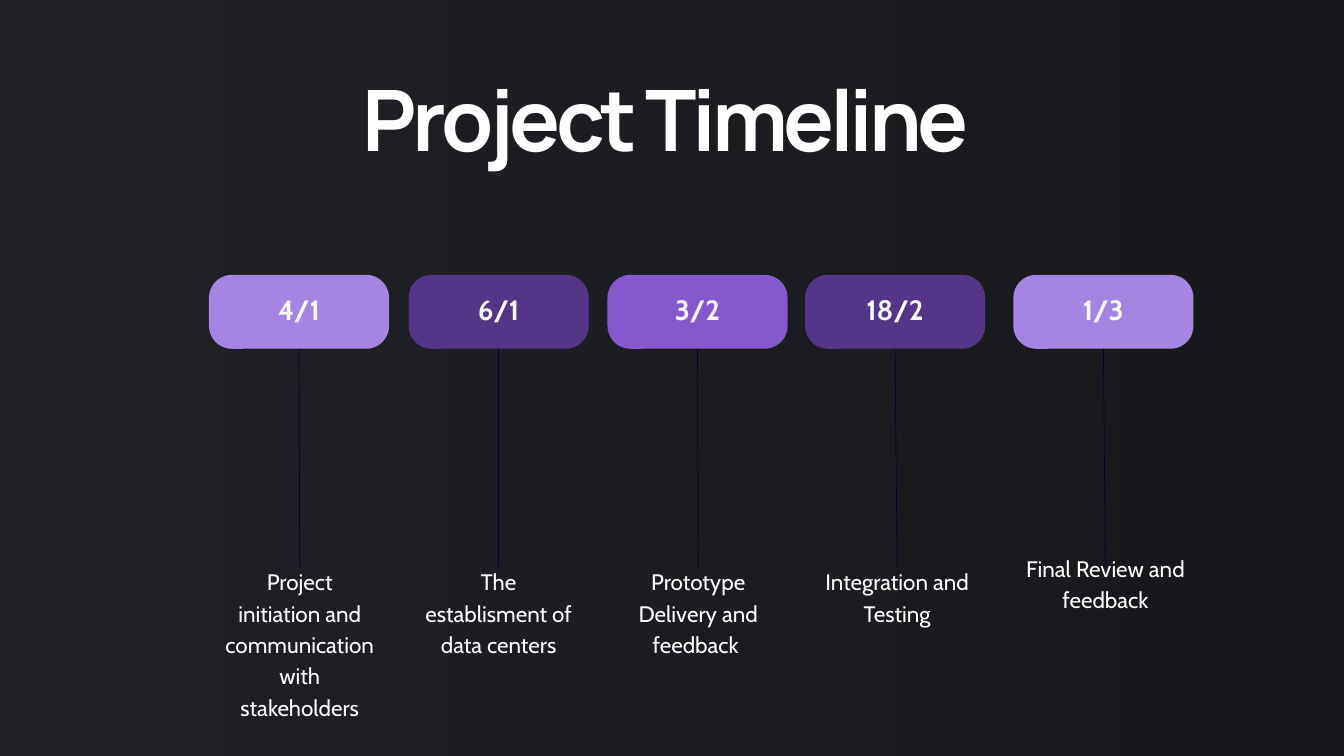
from collections import namedtuple
from dataclasses import dataclass

import lxml.etree
import pptx
import pptx.dml.color
import pptx.enum.shapes
import pptx.enum.text
import pptx.oxml.ns
import pptx.util

Inches = pptx.util.Inches
Pt = pptx.util.Pt
Box = namedtuple("Box", "left top width height")
Milestone = namedtuple("Milestone", "left date color caption_left caption_top caption")


@dataclass(frozen=True)
class Theme:
    """Colours, fonts and type sizes of the slide."""
    background_left: str = "202127"
    background_right: str = "17181B"
    white: str = "FFFFFF"
    date: str = "F8F8F8"
    line: str = "01003B"
    light: str = "A685E2"
    medium: str = "8558CE"
    dark: str = "553587"
    heading_font: str = "Manrope"
    body_font: str = "Cabin"
    title_size: float = 90.8
    date_size: float = 30
    caption_size: float = 24


THEME = Theme()
PILL_TOP, PILL_WIDTH, PILL_HEIGHT = 4.09, 2.68, 1.1
CAPTION_WIDTH = 2.38
LINE_END = 8.44

MILESTONES = [
    Milestone(3.11, "4/1", THEME.light, 3.27, 8.39,
              "Project\ninitiation and communication with stakeholders"),
    Milestone(6.08, "6/1", THEME.dark, 6.23, 8.39, "The establisment of data centers"),
    Milestone(9.04, "3/2", THEME.medium, 9.2, 8.39, "Prototype Delivery and feedback "),
    Milestone(11.98, "18/2", THEME.dark, 12.16, 8.39, "Integration and Testing"),
    Milestone(15.08, "1/3", THEME.light, 15.26, 8.19, "Final Review and feedback"),
]


def rgb(value):
    """Return the colour for a hex string."""
    return pptx.dml.color.RGBColor.from_string(value)


def write_text(shape, text, font, size, color, spacing, bold=False, margins=(0, 0, 0, 0)):
    """Fill a shape with centred, wrapped text."""
    frame = shape.text_frame
    frame.word_wrap = True
    frame.margin_left, frame.margin_top, frame.margin_right, frame.margin_bottom = map(Inches, margins)
    frame.text = text
    for paragraph in frame.paragraphs:
        paragraph.alignment = pptx.enum.text.PP_ALIGN.CENTER
        paragraph.line_spacing = Pt(spacing)
        for run in paragraph.runs:
            run.font.name = font
            run.font.size = Pt(size)
            run.font.bold = bold
            run.font.color.rgb = rgb(color)


def paint_background(slide):
    """Paint the dark left-to-right gradient."""
    fill = slide.background.fill
    fill.gradient()
    fill.gradient_angle = 0
    colors = (THEME.background_left, THEME.background_right)
    for position, (stop, color) in enumerate(zip(fill.gradient_stops, colors)):
        stop.position = position
        stop.color.rgb = rgb(color)


def add_title(slide, box):
    """Place the tightly tracked heading."""
    shape = slide.shapes.add_textbox(*map(Inches, box))
    write_text(shape, "Project Timeline ", THEME.heading_font, THEME.title_size,
               THEME.white, 100.8, bold=True)
    for run in shape.text_frame.paragraphs[0].runs:
        run.font._element.set("spc", "-460")


def add_pill(slide, box, date, color):
    """Place a rounded date pill and return it."""
    pill = slide.shapes.add_shape(
        pptx.enum.shapes.MSO_SHAPE.ROUNDED_RECTANGLE, *map(Inches, box))
    pill.adjustments[0] = 0.31
    pill.shadow.inherit = False
    pill.fill.solid()
    pill.fill.fore_color.rgb = rgb(color)
    pill.line.fill.background()
    pill.text_frame.vertical_anchor = pptx.enum.text.MSO_ANCHOR.MIDDLE
    write_text(pill, date, THEME.body_font, THEME.date_size, THEME.date, 42,
               bold=True, margins=(0.06, 0.06, 0.06, 0.21))
    return pill


def add_stem(slide, pill, end_x, end_y):
    """Run a thin line from the bottom of a pill to its caption."""
    stem = slide.shapes.add_connector(
        pptx.enum.shapes.MSO_CONNECTOR.STRAIGHT,
        pill.left, pill.top, Inches(end_x), Inches(end_y))
    stem.begin_connect(pill, 2)
    stem.line.color.rgb = rgb(THEME.line)
    stem.line.width = Pt(0.75)
    lxml.etree.SubElement(stem._element.spPr, pptx.oxml.ns.qn("a:effectLst"))


def add_caption(slide, box, text):
    """Place the description of a milestone."""
    shape = slide.shapes.add_textbox(*map(Inches, box))
    write_text(shape, text, THEME.body_font, THEME.caption_size, THEME.white, 33.6)


def add_milestone(slide, milestone):
    """Place one column: date pill, stem and caption."""
    pill = add_pill(slide, Box(milestone.left, PILL_TOP, PILL_WIDTH, PILL_HEIGHT),
                    milestone.date, milestone.color)
    add_stem(slide, pill, milestone.caption_left + CAPTION_WIDTH / 2, LINE_END)
    caption_height = 2.28 if "\n" in milestone.caption else 1.36
    add_caption(slide, Box(milestone.caption_left, milestone.caption_top,
                           CAPTION_WIDTH, caption_height), milestone.caption)


def main():
    """Build and save the timeline slide."""
    presentation = pptx.Presentation()
    presentation.slide_width = Inches(20)
    presentation.slide_height = Inches(11.25)
    slide = presentation.slides.add_slide(presentation.slide_layouts[6])
    paint_background(slide)
    add_title(slide, Box(4.92, 1.11, 10.16, 1.52))
    for milestone in MILESTONES:
        add_milestone(slide, milestone)
    presentation.save("out.pptx")


if __name__ == "__main__":
    main()
